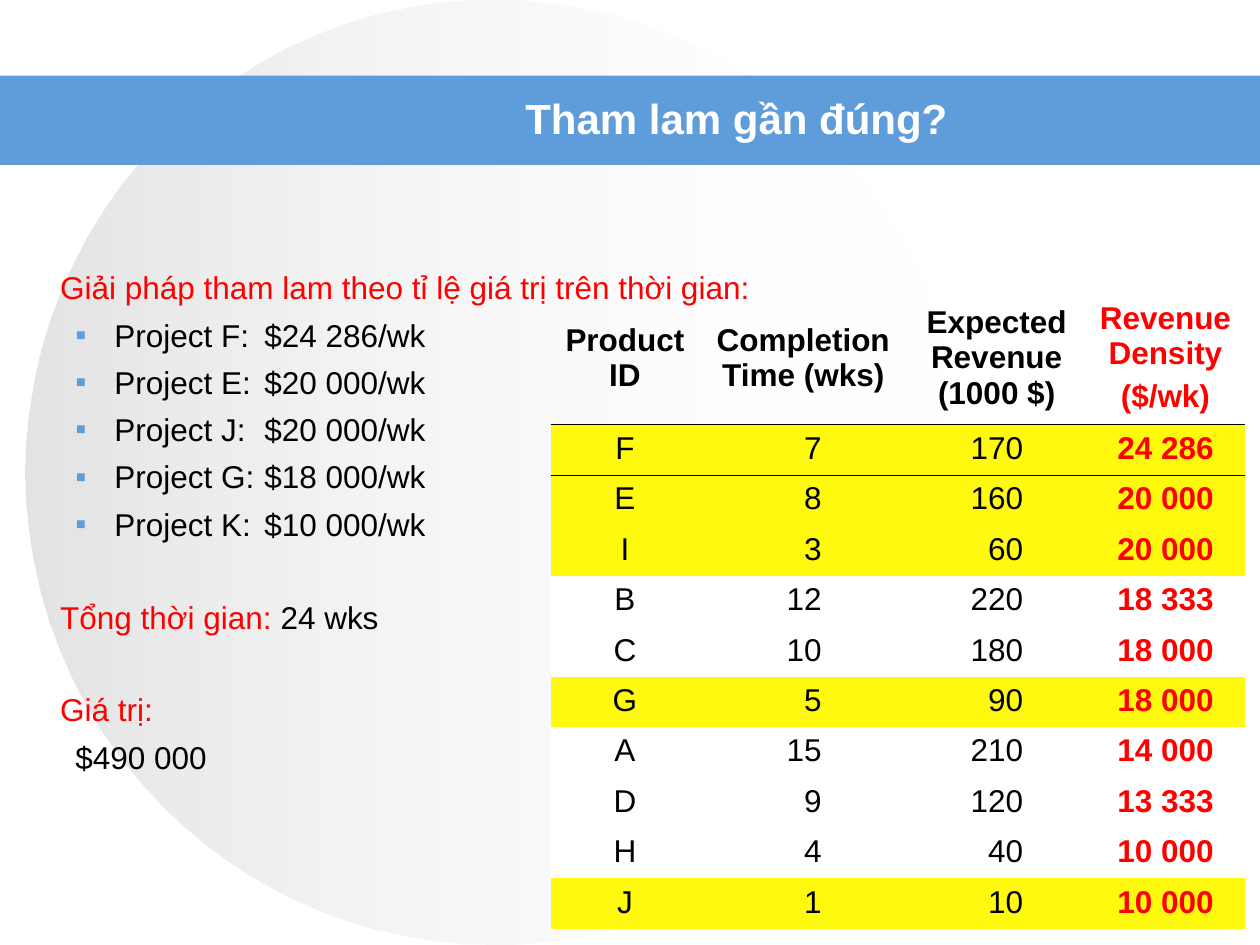
from pptx import Presentation
from pptx.dml.color import RGBColor
from pptx.enum.shapes import MSO_SHAPE
from pptx.enum.text import MSO_ANCHOR, MSO_AUTO_SIZE, PP_ALIGN
from pptx.oxml.ns import qn
from pptx.util import Inches, Pt
from lxml.etree import SubElement

BLACK, WHITE, RED = "000000", "FFFFFF", "FF0000"
BLUE, YELLOW, GREY = "5E9CDA", "FFF90F", "C0C0C0"
PLAIN_TABLE = "{2D5ABB26-0587-4C30-8999-92F81FD0307C}"

HEADINGS = [["Product ID"], ["Completion Time (wks)"],
            ["Expected Revenue (1000 $)"], ["Revenue Density", "($/wk)"]]
PRODUCTS = [
    ("F", "7", "170", "24 286"),
    ("E", "8", "160", "20 000"),
    ("I", "3", "60", "20 000"),
    ("B", "12", "220", "18 333"),
    ("C", "10", "180", "18 000"),
    ("G", "5", "90", "18 000"),
    ("A", "15", "210", "14 000"),
    ("D", "9", "120", "13 333"),
    ("H", "4", "40", "10 000"),
    ("J", "1", "10", "10 000"),
]
CHOSEN = set("FEIGJ")
PROJECTS = [("F", "24 286"), ("E", "20 000"), ("J", "20 000"),
            ("G", "18 000"), ("K", "10 000")]


def rgb(value):
    return RGBColor.from_string(value)


class SlideBuilder:
    font = "Arial"
    size = 18
    body_gap = 5.4
    section_gap = 31.5
    cell_gap = 4.5

    def __init__(self, slide):
        self.slide = slide

    def run(self, paragraph, text, color=BLACK, bold=False, size=None):
        run = paragraph.add_run()
        run.text = text
        run.font.name = self.font
        run.font.size = Pt(size or self.size)
        run.font.bold = bold
        run.font.color.rgb = rgb(color)

    def shape(self, kind, left, top, width, height):
        shape = self.slide.shapes.add_shape(
            kind, Inches(left), Inches(top), Inches(width), Inches(height))
        shape.shadow.inherit = False
        shape.line.fill.background()
        return shape

    def band(self, top, height, color):
        band = self.shape(MSO_SHAPE.RECTANGLE, 0, top, 10, height)
        band.fill.solid()
        band.fill.fore_color.rgb = rgb(color)

    def faded_disc(self, left, top, width, height):
        disc = self.shape(MSO_SHAPE.OVAL, left, top, width, height)
        disc.fill.gradient()
        disc.fill.gradient_angle = 0
        stops = disc.fill.gradient_stops
        for stop, position, color in zip(stops, (0, 1), (GREY, WHITE)):
            stop.position = position
            stop.color.rgb = rgb(color)
        colors = disc.element.spPr.iter(qn("a:srgbClr"))
        for color, opacity in zip(colors, (44, 0)):
            SubElement(color, qn("a:alpha"), val=str(opacity * 1000))

    def title(self, text, left, top, width, height):
        title = self.slide.shapes.title
        title.left, title.top = Inches(left), Inches(top)
        title.width, title.height = Inches(width), Inches(height)
        self.slide.shapes.element.append(title.element)  # in front of the band
        frame = title.text_frame
        frame.auto_size = MSO_AUTO_SIZE.NONE
        frame.vertical_anchor = MSO_ANCHOR.MIDDLE
        paragraph = frame.paragraphs[0]
        paragraph.alignment = PP_ALIGN.CENTER
        self.run(paragraph, text, WHITE, True, 24)

    def text_box(self, left, top, width, height):
        box = self.slide.shapes.add_textbox(
            Inches(left), Inches(top), Inches(width), Inches(height))
        box.text_frame.word_wrap = True
        return box.text_frame

    def line(self, frame, runs, margin=0.38, gap=None, bullet=False):
        first = frame.paragraphs[0]
        paragraph = frame.add_paragraph() if first.runs else first
        paragraph.space_before = Pt(gap or self.body_gap)
        for text, color in runs:
            self.run(paragraph, text, color)
        properties = paragraph._p.get_or_add_pPr()
        properties.set("marL", str(Inches(margin)))
        properties.set("indent", str(Inches(-0.31) if bullet else 0))
        if bullet:
            bullet_color = SubElement(properties, qn("a:buClr"))
            SubElement(bullet_color, qn("a:srgbClr"), val=BLUE)
            SubElement(properties, qn("a:buFont"), typeface=self.font)
            SubElement(properties, qn("a:buChar"), char="▪")
            tabs = SubElement(properties, qn("a:tabLst"))
            SubElement(tabs, qn("a:tab"), pos=str(Inches(2)), algn="l")

    def table(self, left, top, widths, heights):
        frame = self.slide.shapes.add_table(
            len(heights), len(widths), Inches(left), Inches(top),
            Inches(sum(widths)), Inches(sum(heights)))
        table = frame.table
        table.first_row = table.horz_banding = False
        frame.element.find(".//" + qn("a:tableStyleId")).text = PLAIN_TABLE
        for column, width in zip(table.columns, widths):
            column.width = Inches(width)
        for row, height in zip(table.rows, heights):
            row.height = Inches(height)
        return table

    def cell(self, cell, lines, color, bold, fill=None, right_margin=None):
        """Centre the lines, or align them right when a margin is given."""
        for index, text in enumerate(lines):
            frame = cell.text_frame
            paragraph = frame.add_paragraph() if index else frame.paragraphs[0]
            paragraph.alignment = PP_ALIGN.RIGHT if right_margin else PP_ALIGN.CENTER
            paragraph.space_before = Pt(self.cell_gap)
            self.run(paragraph, text, color, bold)
        if right_margin:
            cell.margin_right = Inches(right_margin)
        if fill:
            cell.fill.solid()
            cell.fill.fore_color.rgb = rgb(fill)

    def rule(self, cell, side):
        border = SubElement(cell._tc.get_or_add_tcPr(), qn("a:" + side),
                            w=str(Pt(0.45)))
        fill = SubElement(border, qn("a:solidFill"))
        SubElement(fill, qn("a:srgbClr"), val=BLACK)


def main():
    presentation = Presentation()
    presentation.slide_width, presentation.slide_height = Inches(10), Inches(7.5)
    builder = SlideBuilder(
        presentation.slides.add_slide(presentation.slide_layouts[5]))

    builder.faded_disc(0.2, 0, 7.44, 7.5)
    builder.band(0.6, 0.71, BLUE)

    revenue = builder.table(4.37, 2.31, [1.18, 1.65, 1.42, 1.26],
                            [1.06] + [0.4] * len(PRODUCTS))
    column_colors = [BLACK, BLACK, BLACK, RED]
    right_margins = [None, 0.68, 0.5, None]
    for column, lines in enumerate(HEADINGS):
        heading = revenue.cell(0, column)
        heading.vertical_anchor = MSO_ANCHOR.MIDDLE
        builder.cell(heading, lines, column_colors[column], True)
        builder.rule(heading, "lnB")
    for row, product in enumerate(PRODUCTS, 1):
        fill = YELLOW if product[0] in CHOSEN else WHITE
        for column, value in enumerate(product):
            color = column_colors[column]
            if row == 1:
                builder.rule(revenue.cell(row, column), "lnT")
            builder.cell(revenue.cell(row, column), [value], color,
                         color == RED, fill, right_margins[column])

    builder.title("Tham lam gần đúng?", 1.72, 0.67, 8.25, 0.53)

    solution = builder.text_box(0, 2.08, 9.04, 5.08)
    builder.line(solution, [
        ("Giải pháp tham lam theo tỉ lệ giá trị trên thời gian:", RED)])
    for project, density in PROJECTS:
        builder.line(solution, [(f"Project {project}:\t${density}/wk", BLACK)],
                     margin=0.81, bullet=True)
    builder.line(solution, [("Tổng thời gian: ", RED), ("24 wks", BLACK)],
                 gap=builder.section_gap)
    builder.line(solution, [("Giá trị:", RED)], gap=builder.section_gap)
    builder.line(solution, [("$490 000", BLACK)], margin=0.5)

    presentation.save("out.pptx")


if __name__ == "__main__":
    main()
